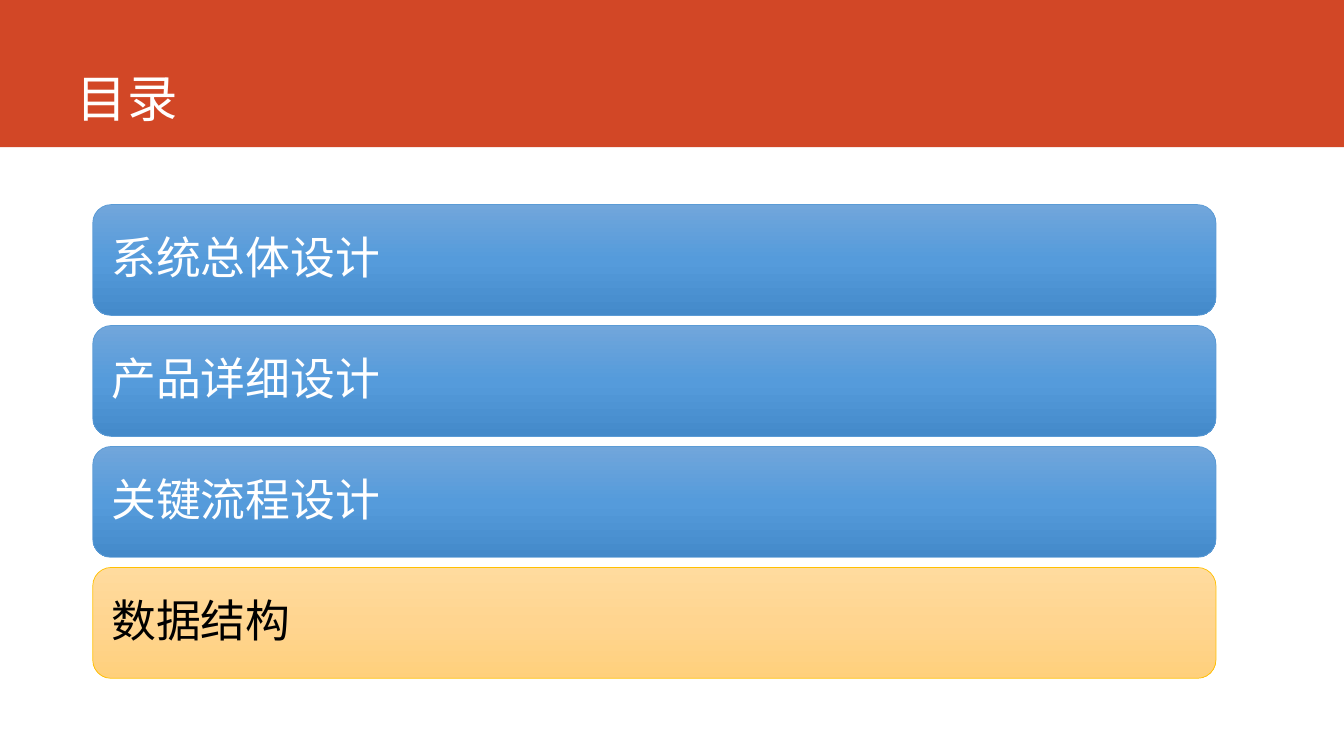
"""Build a contents slide with a title banner and four agenda bars."""
import copy
from dataclasses import dataclass

import pptx
import pptx.dml.color
import pptx.enum.dml
import pptx.enum.shapes
import pptx.enum.text
import pptx.oxml
import pptx.oxml.ns
import pptx.util

EMU_PER_PX = 9144
COLORS = {
    "white": "FFFFFF", "black": "000000", "banner": "D24726",
    "blue_top": "71A6DB", "blue_middle": "559BDB", "blue_bottom": "448ACA", "blue_line": "5B9BD5",
    "gold_top": "FFDB9E", "gold_middle": "FFD590", "gold_bottom": "FFD07C", "gold_line": "FFC000",
}
CJK_FONT = "Noto Sans CJK SC"
BAR_LEFT, BAR_TOP, BAR_WIDTH, BAR_HEIGHT, BAR_PITCH = 92, 203, 1114, 110, 120


@dataclass(frozen=True)
class AgendaBar:
    text: str
    palette: str = "blue"
    text_color: str = "white"


AGENDA = [
    AgendaBar("系统总体设计"),
    AgendaBar("产品详细设计"),
    AgendaBar("关键流程设计"),
    AgendaBar("数据结构", "gold", "black"),
]


def px(length: int) -> pptx.util.Emu:
    return pptx.util.Emu(length * EMU_PER_PX)


def color(name: str) -> pptx.dml.color.RGBColor:
    return pptx.dml.color.RGBColor.from_string(COLORS[name])


def format_text(shape, size: int, font_name: str, color_name: str, anchor) -> None:
    frame = shape.text_frame
    frame.word_wrap = True
    frame.auto_size = pptx.enum.text.MSO_AUTO_SIZE.NONE
    frame.vertical_anchor = anchor
    paragraph = frame.paragraphs[0]
    paragraph.alignment = pptx.enum.text.PP_ALIGN.LEFT
    paragraph.line_spacing = 0.9
    font = paragraph.font
    font.size = pptx.util.Pt(size)
    font.name = font_name
    font.color.rgb = color(color_name)
    latin = paragraph._p.find(".//" + pptx.oxml.ns.qn("a:latin"))
    east_asian = pptx.oxml.parse_xml(f'<a:ea {pptx.oxml.ns.nsdecls("a")} typeface="{CJK_FONT}"/>')
    latin.addnext(east_asian)


def fill_gradient(shape, palette: str) -> None:
    shape.fill.gradient()
    shape.fill.gradient_angle = 270
    stop_list = shape._element.spPr.find(".//" + pptx.oxml.ns.qn("a:gsLst"))
    stop_list.insert(1, copy.deepcopy(stop_list[0]))
    steps = zip(shape.fill.gradient_stops, ("top", "middle", "bottom"), (0, 0.5, 1))
    for stop, step, position in steps:
        stop.color.rgb = color(f"{palette}_{step}")
        stop.position = position


def add_banner(slide) -> None:
    banner = slide.shapes.add_shape(
        pptx.enum.shapes.MSO_SHAPE.RECTANGLE, 0, 0, px(1333), px(146))
    banner.shadow.inherit = False
    banner.fill.solid()
    banner.fill.fore_color.rgb = color("banner")
    banner.line.fill.background()
    slide.shapes._spTree.insert(2, banner._element)


def add_title(slide, text: str) -> None:
    title = slide.shapes.title
    title.left, title.top, title.width, title.height = px(66), px(0), px(1176), px(132)
    title.text_frame.text = text
    format_text(title, 36, CJK_FONT, "white", pptx.enum.text.MSO_ANCHOR.BOTTOM)


def add_agenda_bar(slide, bar: AgendaBar, top: int) -> None:
    shape = slide.shapes.add_shape(
        pptx.enum.shapes.MSO_SHAPE.ROUNDED_RECTANGLE,
        px(BAR_LEFT), px(top), px(BAR_WIDTH), px(BAR_HEIGHT))
    shape.shadow.inherit = False
    fill_gradient(shape, bar.palette)
    shape.line.color.rgb = color(f"{bar.palette}_line")
    shape.line.width = pptx.util.Pt(0.5)
    frame = shape.text_frame
    frame.text = bar.text
    frame.margin_left = frame.margin_right = px(13)
    frame.margin_top = frame.margin_bottom = px(13)
    format_text(shape, 32, "Cabin", bar.text_color, pptx.enum.text.MSO_ANCHOR.MIDDLE)


def main() -> None:
    presentation = pptx.Presentation()
    presentation.slide_width, presentation.slide_height = px(1333), px(750)
    slide = presentation.slides.add_slide(presentation.slide_layouts[5])
    add_banner(slide)
    add_title(slide, "目录")
    for index, bar in enumerate(AGENDA):
        add_agenda_bar(slide, bar, BAR_TOP + index * BAR_PITCH)
    presentation.save("out.pptx")


if __name__ == "__main__":
    main()
